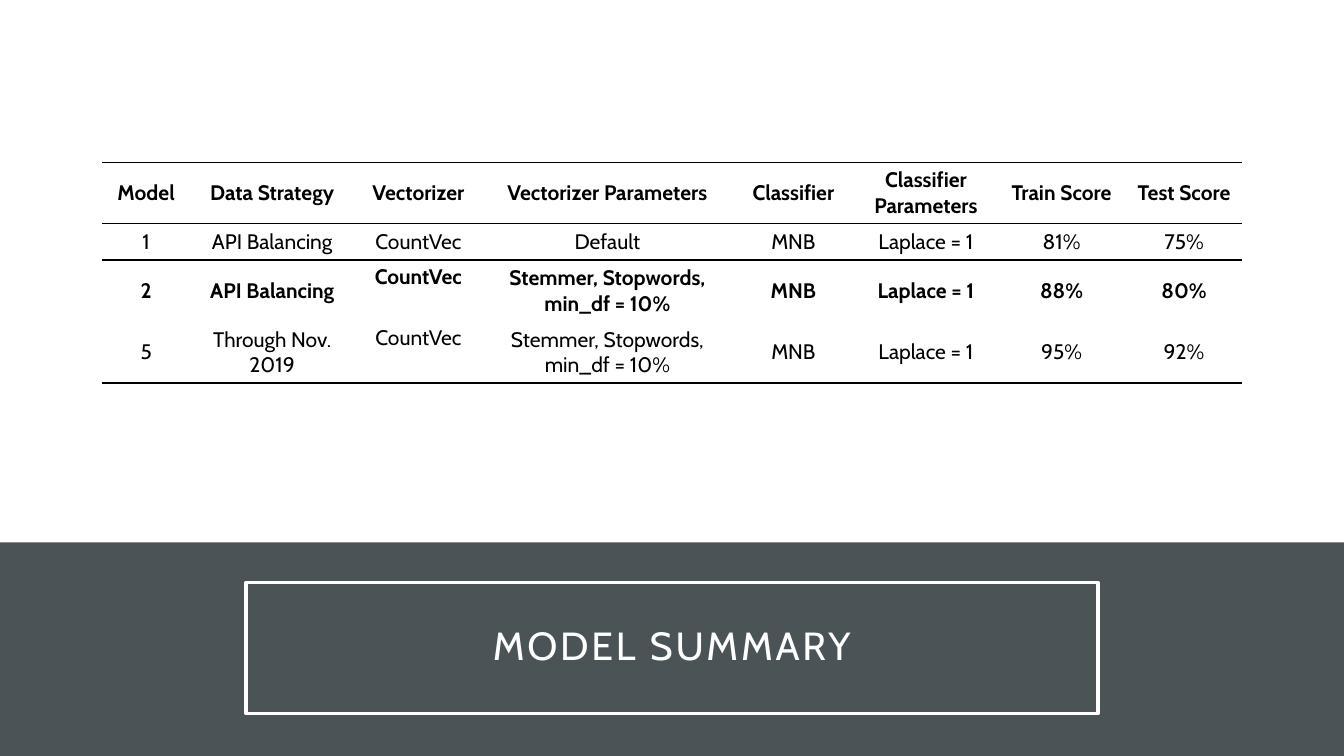
from pptx import Presentation
from pptx.dml.color import RGBColor
from pptx.enum.shapes import MSO_SHAPE
from pptx.enum.text import MSO_ANCHOR, MSO_AUTO_SIZE, PP_ALIGN
from pptx.oxml.ns import qn
from pptx.util import Inches, Pt
from lxml.etree import SubElement

SLATE = RGBColor(0x4A, 0x53, 0x56)
WHITE = RGBColor(0xFF, 0xFF, 0xFF)
BLACK = RGBColor(0x00, 0x00, 0x00)
FONT = "Cabin"
NO_GRID_STYLE = "{2D5ABB26-0587-4C30-8999-92F81FD0307C}"

COLUMN_WIDTHS = [0.88, 1.62, 1.28, 2.47, 1.22, 1.41, 1.28, 1.15]
ROW_HEIGHTS = [0.61, 0.36, 0.61, 0.61]
ROWS = [
    ["Model", "Data Strategy", "Vectorizer", "Vectorizer Parameters",
     "Classifier", "Classifier Parameters", "Train Score", "Test Score"],
    ["1", "API Balancing", "CountVec", "Default",
     "MNB", "Laplace = 1", "81%", "75%"],
    ["2", "API Balancing", "CountVec", "Stemmer, Stopwords, min_df = 10%",
     "MNB", "Laplace = 1", "88%", "80%"],
    ["5", "Through Nov. 2019", "CountVec", "Stemmer, Stopwords, min_df = 10%",
     "MNB", "Laplace = 1", "95%", "92%"],
]
BOLD_ROWS = (0, 2)
VECTORIZER_COLUMN = 2
BORDERS = {0: ["lnT", "lnB"], 1: ["lnT"], 3: ["lnB"]}


def add_border(cell, side):
    line = SubElement(cell._tc.get_or_add_tcPr(), qn(f"a:{side}"), w=str(Pt(1)))
    fill = SubElement(line, qn("a:solidFill"))
    SubElement(fill, qn("a:srgbClr"), val=str(BLACK))


def add_text(paragraph, text, size, color, bold=False):
    paragraph.alignment = PP_ALIGN.CENTER
    run = paragraph.add_run()
    run.text = text
    run.font.name = FONT
    run.font.size = Pt(size)
    run.font.bold = bold
    run.font.color.rgb = color
    return run


presentation = Presentation()
presentation.slide_width = Inches(13.33)
presentation.slide_height = Inches(7.5)
slide = presentation.slides.add_slide(presentation.slide_layouts[5])
slide.background.fill.solid()
slide.background.fill.fore_color.rgb = SLATE

# White upper panel
panel = slide.shapes.add_shape(
    MSO_SHAPE.RECTANGLE, 0, 0, presentation.slide_width, Inches(5.38))
panel.shadow.inherit = False
panel.fill.solid()
panel.fill.fore_color.rgb = WHITE
panel.line.fill.background()

# Framed title
title = slide.shapes.title
title.left, title.top = Inches(2.44), Inches(5.78)
title.width, title.height = Inches(8.45), Inches(1.3)
title.line.color.rgb = WHITE
title.line.width = Pt(2.5)
frame = title.text_frame
frame.word_wrap = True
frame.auto_size = MSO_AUTO_SIZE.NONE
frame.vertical_anchor = MSO_ANCHOR.MIDDLE
frame.margin_left = frame.margin_right = Inches(0.2)
frame.margin_top = frame.margin_bottom = Inches(0.2)
frame.paragraphs[0].line_spacing = 0.9
title_run = add_text(frame.paragraphs[0], "MODEL SUMMARY", 28, WHITE)
title_run.font._element.set("spc", "200")

# Model comparison table
table_shape = slide.shapes.add_table(
    len(ROWS), len(COLUMN_WIDTHS), Inches(1.01), Inches(1.61),
    Inches(sum(COLUMN_WIDTHS)), Inches(sum(ROW_HEIGHTS)))
table = table_shape.table
table.first_row = False
table.horz_banding = False
table._tbl.tblPr.find(qn("a:tableStyleId")).text = NO_GRID_STYLE

for column, width in zip(table.columns, COLUMN_WIDTHS):
    column.width = Inches(width)

for row_index, values in enumerate(ROWS):
    table.rows[row_index].height = Inches(ROW_HEIGHTS[row_index])
    for column_index, value in enumerate(values):
        cell = table.cell(row_index, column_index)
        for side in BORDERS.get(row_index, []):
            add_border(cell, side)
        cell.fill.background()
        cell.margin_left = cell.margin_right = Inches(0.08)
        cell.margin_top = cell.margin_bottom = Inches(0.04)
        top_aligned = column_index == VECTORIZER_COLUMN and row_index > 1
        cell.vertical_anchor = MSO_ANCHOR.TOP if top_aligned else MSO_ANCHOR.MIDDLE
        add_text(cell.text_frame.paragraphs[0], value, 15, BLACK,
                 bold=row_index in BOLD_ROWS)

presentation.save("out.pptx")
